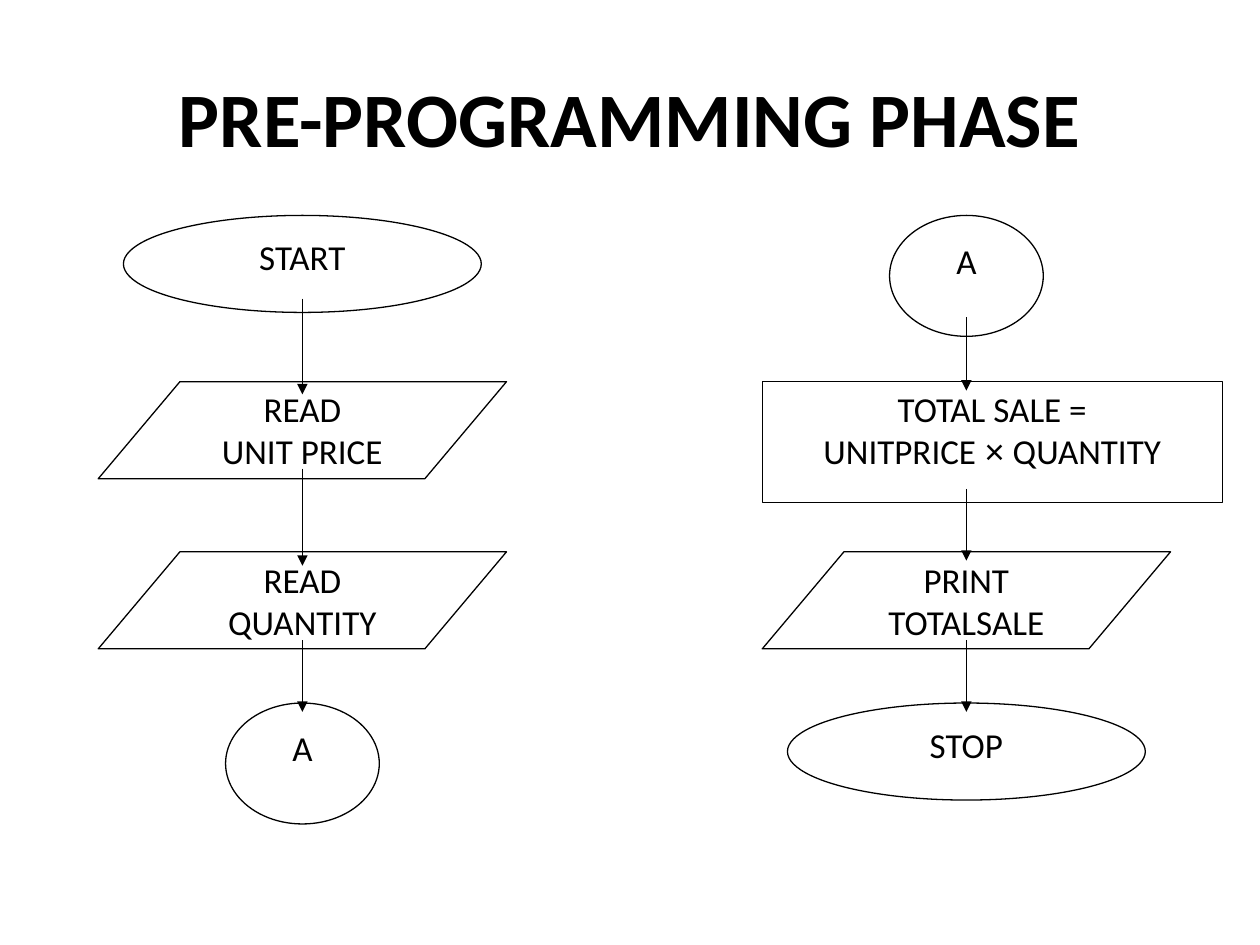
from dataclasses import dataclass
from itertools import groupby

from lxml.etree import SubElement
from pptx import Presentation
from pptx.dml.color import RGBColor
from pptx.enum.shapes import MSO_CONNECTOR as Connector
from pptx.enum.shapes import MSO_SHAPE as Preset
from pptx.enum.text import MSO_ANCHOR as Anchor
from pptx.enum.text import PP_ALIGN as Align
from pptx.oxml.ns import qn
from pptx.util import Inches, Length, Pt

BLACK = RGBColor(0x00, 0x00, 0x00)
WHITE = RGBColor(0xFF, 0xFF, 0xFF)
LINE_WIDTH = Pt(0.75)

# Grid of 100 columns by 75 rows
CELL = 0.1
ROW_TOPS = (17.1, 30.3, 43.8, 55.8)
LEFT_AXIS, RIGHT_AXIS = 24, 76.7


@dataclass(frozen=True)
class Kind:
    preset: Preset
    columns: float
    rows: float


TERMINAL = Kind(Preset.OVAL, 28.4, 7.7)
INPUT_OUTPUT = Kind(Preset.FLOWCHART_DATA, 32.4, 7.7)
PROCESS = Kind(Preset.RECTANGLE, 36.5, 9.6)
JUNCTION = Kind(Preset.OVAL, 12.2, 9.6)


@dataclass(frozen=True)
class Step:
    kind: Kind
    text: str
    shift: float = 0


@dataclass(frozen=True)
class Flow:
    axis: float
    steps: tuple[Step, ...]
    arrows: tuple[tuple[float, float], ...]


FLOWS = (
    Flow(
        LEFT_AXIS,
        (
            Step(TERMINAL, "START"),
            Step(INPUT_OUTPUT, "READ\nUNIT PRICE"),
            Step(INPUT_OUTPUT, "READ\nQUANTITY"),
            Step(JUNCTION, "A"),
        ),
        ((23.7, 31.3), (37.2, 44.9), (50.8, 56.5)),
    ),
    Flow(
        RIGHT_AXIS,
        (
            Step(JUNCTION, "A"),
            Step(PROCESS, "TOTAL SALE =\nUNITPRICE × QUANTITY", shift=2.05),
            Step(INPUT_OUTPUT, "PRINT\nTOTALSALE"),
            Step(TERMINAL, "STOP"),
        ),
        ((25.2, 31), (38.8, 44.5), (50.8, 56.5)),
    ),
)


def grid(cells: float) -> Length:
    return Inches(cells * CELL)


def write_text(shape, text: str, *, size: float, bold: bool = False,
               anchor: Anchor = Anchor.TOP, side_inset: float = 0.02) -> None:
    """Write centred lines, with the multiplication sign in Arial."""
    frame = shape.text_frame
    frame.word_wrap = True
    frame.vertical_anchor = anchor
    frame.margin_left = frame.margin_right = Inches(side_inset)
    frame.margin_top = frame.margin_bottom = Inches(0.05)
    for index, line in enumerate(text.split("\n")):
        paragraph = frame.add_paragraph() if index else frame.paragraphs[0]
        paragraph.alignment = Align.CENTER
        for is_sign, letters in groupby(line, key=lambda letter: letter == "×"):
            run = paragraph.add_run()
            run.text = "".join(letters)
            run.font.name = "Arial" if is_sign else "Calibri"
            run.font.size = Pt(size)
            run.font.bold = bold
            run.font.color.rgb = BLACK


def draw_step(slide, step: Step, axis: float, top: float) -> None:
    kind = step.kind
    left = axis + step.shift - kind.columns / 2
    shape = slide.shapes.add_shape(
        kind.preset, grid(left), grid(top), grid(kind.columns), grid(kind.rows))
    shape.shadow.inherit = False
    shape.fill.solid()
    shape.fill.fore_color.rgb = WHITE
    shape.line.color.rgb = BLACK
    shape.line.width = LINE_WIDTH
    write_text(shape, step.text, size=20)


def draw_arrow(slide, axis: float, start: float, end: float) -> None:
    arrow = slide.shapes.add_connector(
        Connector.STRAIGHT, grid(axis), grid(start), grid(axis), grid(end))
    arrow.line.color.rgb = BLACK
    arrow.line.width = LINE_WIDTH
    SubElement(arrow.line._get_or_add_ln(), qn("a:tailEnd"), type="triangle")
    SubElement(arrow._element.spPr, qn("a:effectLst"))


def draw_flow(slide, flow: Flow) -> None:
    for step, top in zip(flow.steps, ROW_TOPS):
        draw_step(slide, step, flow.axis, top)
    for start, end in flow.arrows:
        draw_arrow(slide, flow.axis, start, end)


def main() -> None:
    presentation = Presentation()
    presentation.slide_width = grid(100)
    presentation.slide_height = grid(75)
    slide = presentation.slides.add_slide(presentation.slide_layouts[6])

    # Title
    title = slide.shapes.add_textbox(grid(5), grid(3), grid(90), grid(12.5))
    write_text(title, "PRE-PROGRAMMING PHASE", size=44, bold=True,
               anchor=Anchor.MIDDLE, side_inset=0.1)

    # Two halves of the flowchart, joined at A
    for flow in FLOWS:
        draw_flow(slide, flow)

    presentation.save("out.pptx")


if __name__ == "__main__":
    main()
